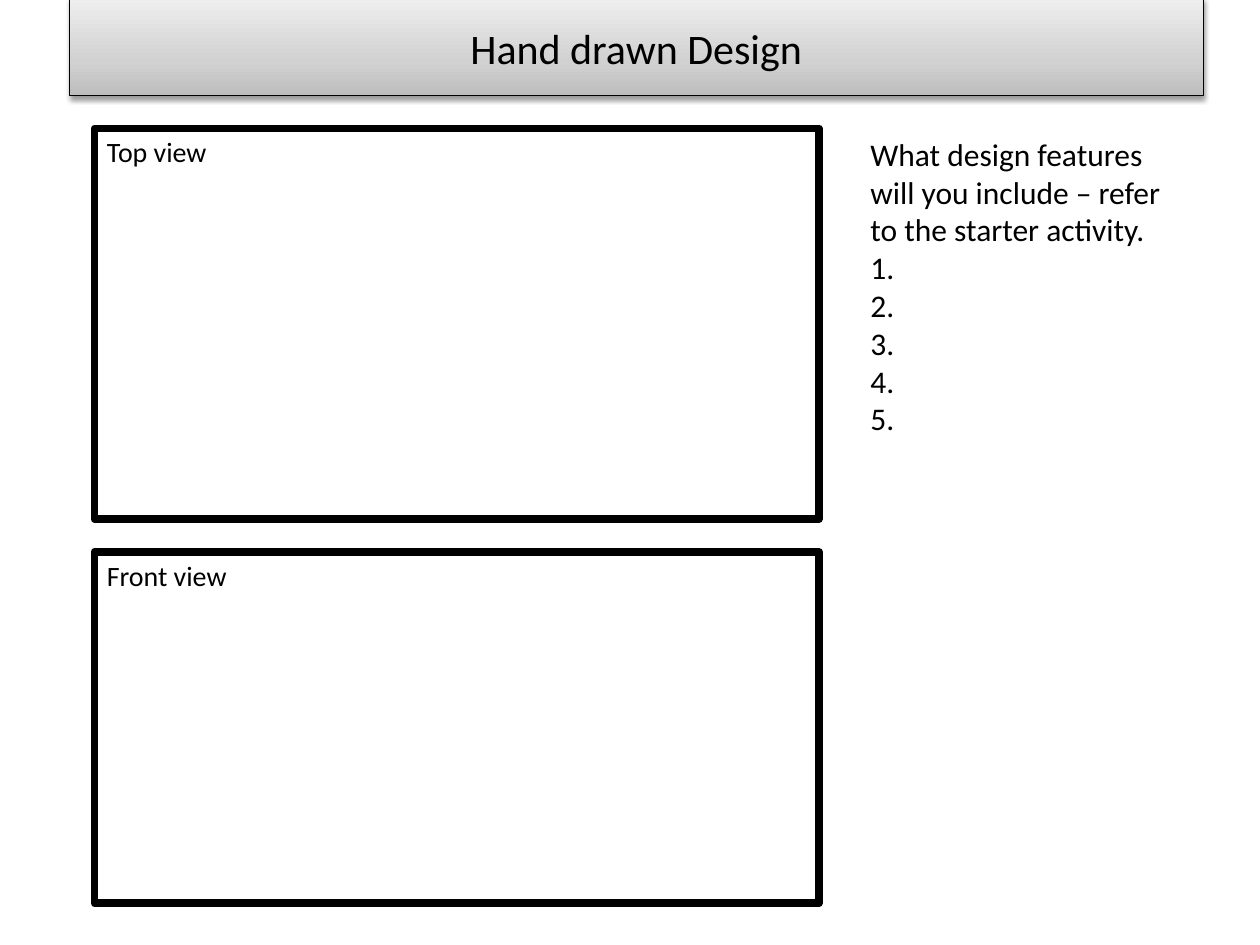
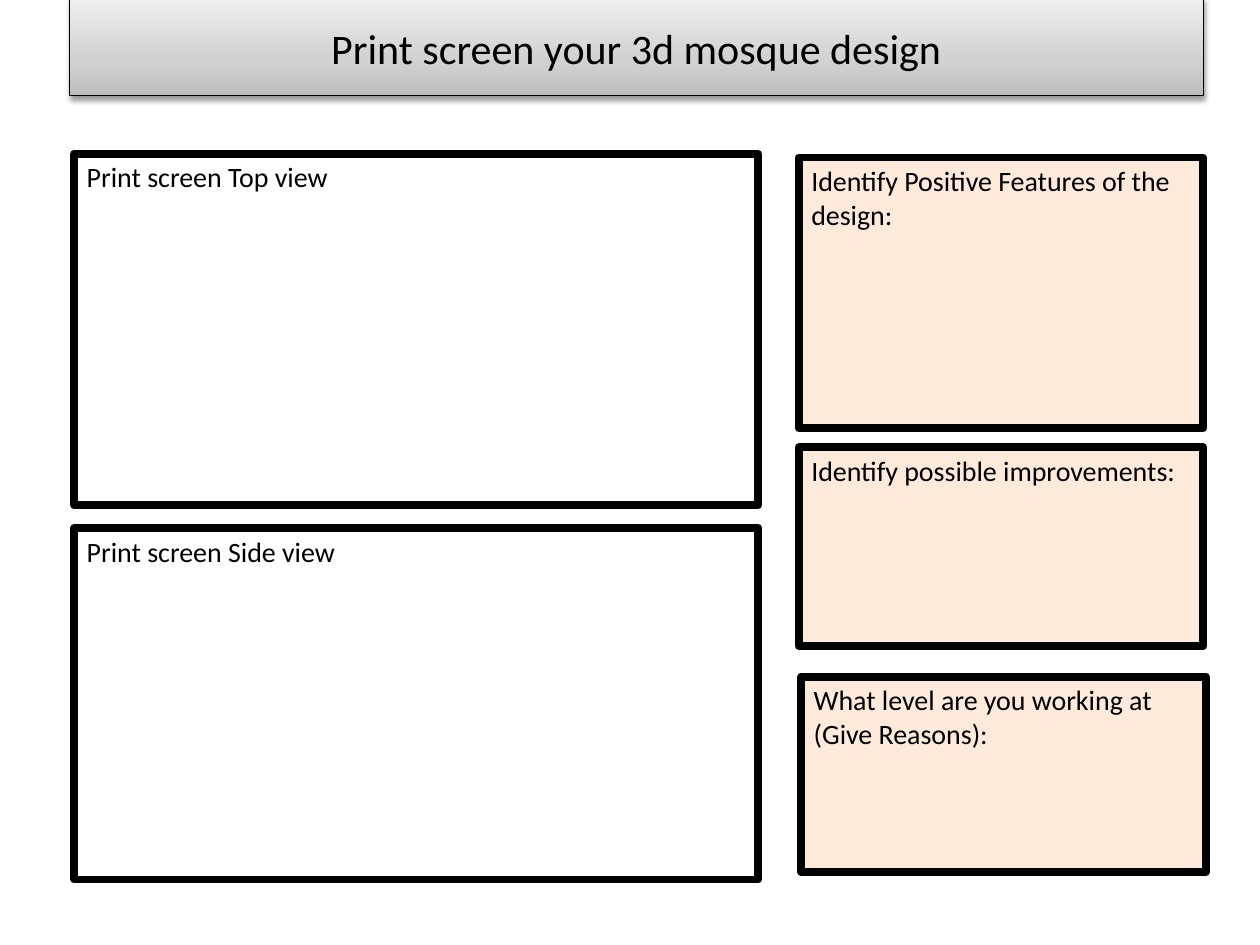
from lxml.etree import SubElement
from pptx import Presentation
from pptx.dml.color import RGBColor
from pptx.enum.shapes import MSO_SHAPE
from pptx.enum.text import MSO_ANCHOR as ANCHOR, PP_ALIGN as ALIGN
from pptx.oxml.ns import qn
from pptx.util import Inches, Pt

COLS, ROWS = 100, 75
COLORS = {
    "ink": "000000",
    "paper": "FFFFFF",
    "peach": "FDEADA",
    "band_low": "BDBDBD",
    "band_mid": "D1D1D1",
    "band_high": "EEEEEE",
}
BAND_STOPS = {0: "band_low", 35: "band_mid", 100: "band_high"}
FONT = "Calibri"


def rgb(name):
    return RGBColor.from_string(COLORS[name])


def add_xml(parent, tag, **attrs):
    return SubElement(parent, qn(tag), {k: str(v) for k, v in attrs.items()})


class Worksheet:
    """Holds the deck style and the slide being filled; places are grid columns and rows."""

    def __init__(self, prs):
        self.prs = prs
        self.slide = None

    def new_slide(self, title):
        self.slide = self.prs.slides.add_slide(self.prs.slide_layouts[6])
        self.title_band(title)

    def place(self, left, top, width, height):
        col, row = self.prs.slide_width / COLS, self.prs.slide_height / ROWS
        return [round(n) for n in (left * col, top * row, width * col, height * row)]

    def rectangle(self, cell, line_width):
        s = self.slide.shapes.add_shape(MSO_SHAPE.RECTANGLE, *self.place(*cell))
        s.shadow.inherit = False
        s.line.color.rgb = rgb("ink")
        s.line.width = Pt(line_width)
        return s

    def add_text(self, s, lines, size, align=ALIGN.LEFT, anchor=ANCHOR.TOP):
        tf = s.text_frame
        for key, value in {"word_wrap": True, "vertical_anchor": anchor}.items():
            setattr(tf, key, value)
        style = {"name": FONT, "size": Pt(size)}
        for i, line in enumerate(lines):
            p = tf.paragraphs[0] if i == 0 else tf.add_paragraph()
            p.alignment = align
            r = p.add_run()
            r.text = line
            for key, value in style.items():
                setattr(r.font, key, value)
            r.font.color.rgb = rgb("ink")
        return tf.paragraphs

    def title_band(self, title):
        s = self.rectangle((5.5, -0.1, 90, 7.7), 0.75)
        s.fill.gradient()
        s.fill.gradient_angle = 90
        props = s._element.spPr
        stops = props.find(".//" + qn("a:gsLst"))
        stops.clear()
        for share, color in BAND_STOPS.items():
            stop = add_xml(stops, "a:gs", pos=share * 1000)
            add_xml(stop, "a:srgbClr", val=COLORS[color])
        shadow = add_xml(props.find(qn("a:effectLst")), "a:outerShdw", blurRad=40000,
                         dist=20000, dir=5400000, rotWithShape=0)
        add_xml(add_xml(shadow, "a:srgbClr", val=COLORS["ink"]), "a:alpha", val=38000)
        self.add_text(s, [title], 24, ALIGN.CENTER, ANCHOR.MIDDLE)

    def answer_box(self, label, cell, fill="paper"):
        s = self.rectangle(cell, 4.5)
        s.fill.solid()
        s.fill.fore_color.rgb = rgb(fill)
        add_xml(s._element.spPr.find(qn("a:ln")), "a:round")
        self.add_text(s, [label], 16)

    def numbered_prompt(self, prompt, count, cell):
        """Question followed by numbered lines left open for answers."""
        s = self.slide.shapes.add_textbox(*self.place(*cell))
        indent = Inches(0.38)
        for p in self.add_text(s, [prompt] + [" "] * count, 18)[1:]:
            props = p._p.get_or_add_pPr()
            props.set("marL", str(indent))
            props.set("indent", str(-indent))
            add_xml(props, "a:buFont", typeface="+mj-lt")
            add_xml(props, "a:buAutoNum", type="arabicPeriod")


def hand_drawn(ws):
    ws.new_slide("Hand drawn Design")
    for label, top, height in (("Top view", 10.2, 31), ("Front view", 43.8, 27.9)):
        ws.answer_box(label, (7.5, top, 57.5, height))
    ws.numbered_prompt(
        "What design features will you include – refer to the starter activity.",
        5, (68.1, 10.2, 26.8, 25.2))


def print_screen(ws):
    ws.new_slide("Print screen your 3d mosque design")
    for i, view in enumerate(("Top", "Side")):
        ws.answer_box(f"Print screen {view} view", (5.9, 12.2 + 29.7 * i, 54.3, 27.9))
    reviews = (
        ("Identify Positive Features of the design:", 63.4, 12.5, 21.5),
        ("Identify possible improvements:", 63.4, 35.5, 15.8),
        ("What level are you working at (Give Reasons):", 63.6, 53.7, 15.5),
    )
    for label, left, top, height in reviews:
        ws.answer_box(label, (left, top, 32.1, height), "peach")


def main():
    prs = Presentation()
    prs.slide_width, prs.slide_height = Inches(10), Inches(7.5)
    ws = Worksheet(prs)
    hand_drawn(ws)
    print_screen(ws)
    prs.save("out.pptx")


if __name__ == "__main__":
    main()
